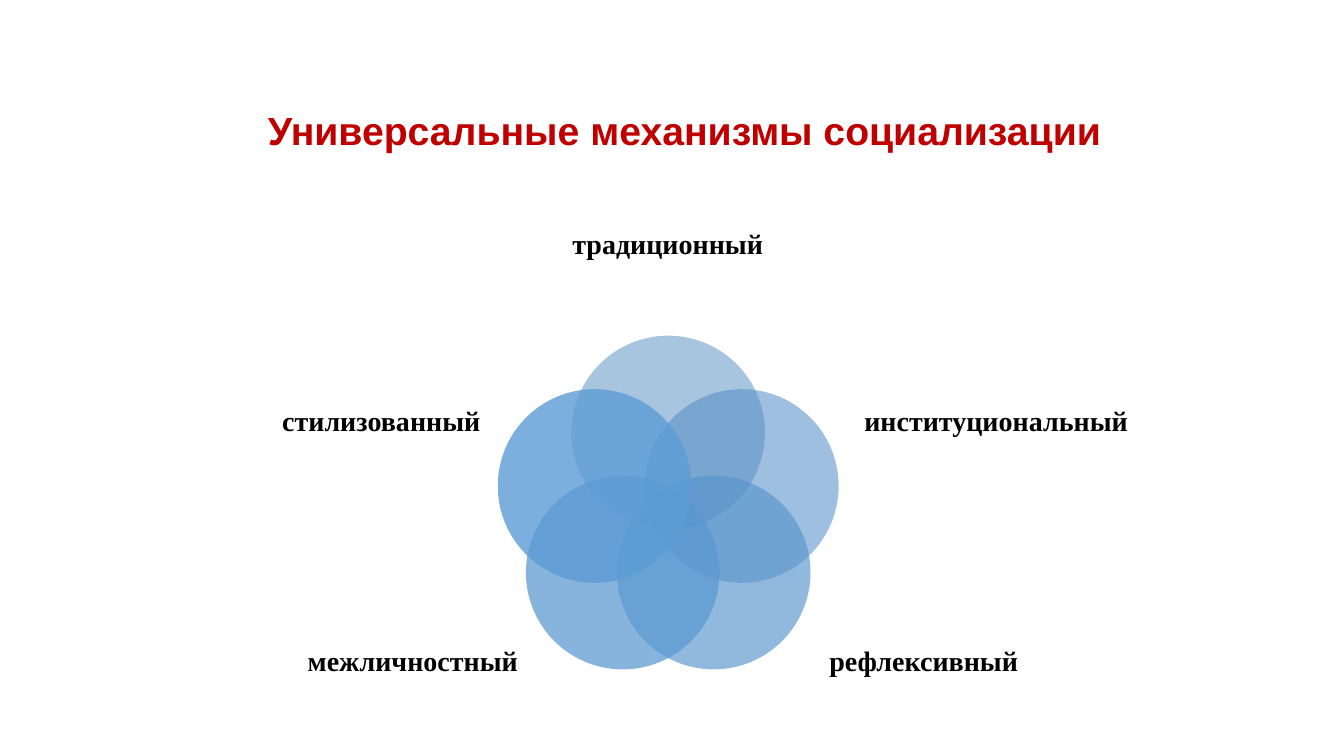
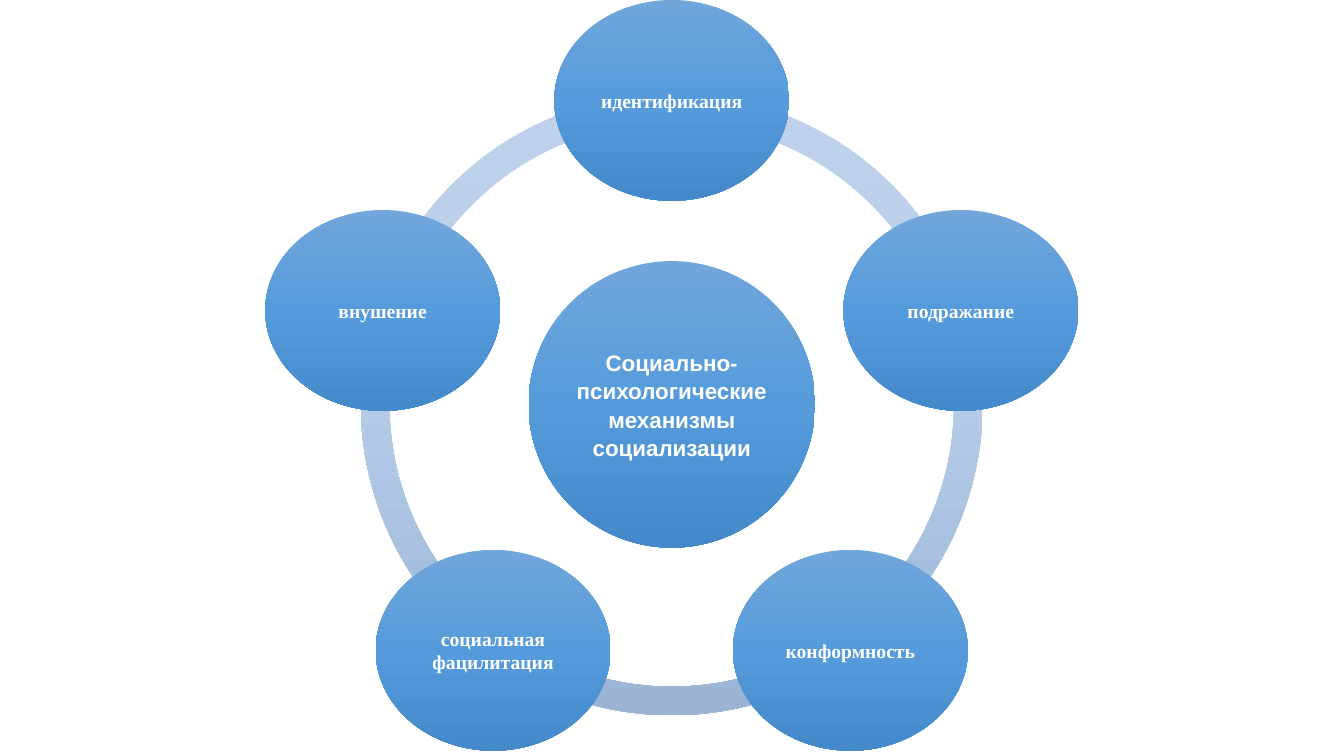
from dataclasses import dataclass
from math import cos, radians, sin

from lxml import etree
from pptx import Presentation
from pptx.dml.color import RGBColor
from pptx.enum.shapes import MSO_SHAPE
from pptx.enum.text import MSO_ANCHOR, PP_ALIGN
from pptx.oxml.ns import qn
from pptx.util import Cm, Pt

OVAL = MSO_SHAPE.OVAL
BLOCK_ARC = MSO_SHAPE.BLOCK_ARC
MIDDLE = MSO_ANCHOR.MIDDLE
CENTER = PP_ALIGN.CENTER


@dataclass(frozen=True)
class Theme:
    sans: str = "Arial"
    serif: str = "Times New Roman"
    title_color: str = "C00000"
    label_color: str = "000000"
    node_text: str = "FFFFFF"
    title_size: int = 28
    label_size: int = 20
    hub_size: int = 16
    node_size: int = 14
    node_fill: tuple = ("71A6DB", "559BDB", "448ACA")
    arc_fill: tuple = ("C0D2EB", "B3CBE9", "9BB4D3")


THEME = Theme()
STEP = 72

MECHANISMS = [
    ("традиционный", "538DC1", 50, (13.44, 4.5, 6.78, 3.28)),
    ("институциональный", "5590C7", 57, (21.74, 8.81, 6.73, 3.56)),
    ("рефлексивный", "5794CC", 65, (19.66, 14.86, 7.24, 3.56)),
    ("межличностный", "5998D1", 72, (6.99, 14.86, 6.83, 3.56)),
    ("стилизованный", "5C9CD5", 80, (6.45, 8.81, 6.32, 3.56)),
]

HUB = ["Социально-", "психологические", "механизмы", "социализации"]
NODES = [
    ["идентификация"],
    ["подражание"],
    ["конформность"],
    ["социальная", "фацилитация"],
    ["внушение"],
]


def ring_point(cx, cy, radius, index):
    angle = radians(STEP * index)
    return cx + radius * sin(angle), cy - radius * cos(angle)


def write(sp, lines, font, size, color, inset=0, spacing=1.0):
    tf = sp.text_frame
    tf.word_wrap = True
    tf.vertical_anchor = MIDDLE
    tf.margin_left = tf.margin_right = Cm(inset)
    tf.margin_top = tf.margin_bottom = Cm(inset)
    for i, line in enumerate(lines):
        p = tf.paragraphs[0] if i == 0 else tf.add_paragraph()
        p.text = line
        p.alignment = CENTER
        p.line_spacing = spacing
        p.font.name = font
        p.font.size = Pt(size)
        p.font.bold = True
        p.font.color.rgb = RGBColor.from_string(color)


def add_text(s, box, text, font, size, color):
    sp = s.shapes.add_textbox(*map(Cm, box))
    write(sp, [text], font, size, color)


def add_centered(s, kind, cx, cy, width, height):
    sp = s.shapes.add_shape(kind, Cm(cx - width / 2), Cm(cy - height / 2),
                            Cm(width), Cm(height))
    sp.shadow.inherit = False
    sp.line.fill.background()
    return sp


def fill_alpha(sp, color, percent):
    sp.fill.solid()
    sp.fill.fore_color.rgb = RGBColor.from_string(color)
    clr = sp._element.spPr.find(qn("a:solidFill")).find(qn("a:srgbClr"))
    etree.SubElement(clr, qn("a:alpha"), val=str(percent * 1000))


def fill_gradient(sp, colors):
    sp.fill.gradient()
    sp.fill.gradient_angle = 270
    stops = sp._element.spPr.find(qn("a:gradFill")).find(qn("a:gsLst"))
    for stop in list(stops):
        stops.remove(stop)
    for i, color in enumerate(colors):
        position = 100000 * i // (len(colors) - 1)
        stop = etree.SubElement(stops, qn("a:gs"), pos=str(position))
        etree.SubElement(stop, qn("a:srgbClr"), val=color)


def add_arc(s, cx, cy, diameter, start):
    sp = add_centered(s, BLOCK_ARC, cx, cy, diameter, diameter)
    angle_unit = 0.6
    sp.adjustments[0] = start % 360 * angle_unit
    sp.adjustments[1] = (start + STEP) % 360 * angle_unit
    sp.adjustments[2] = 0.046
    fill_gradient(sp, THEME.arc_fill)


def add_node(s, center, size, lines, font, pt, spacing=1.0):
    sp = add_centered(s, OVAL, *center, *size)
    fill_gradient(sp, THEME.node_fill)
    write(sp, lines, font, pt, THEME.node_text, 0.05, spacing)


def build_universal(s):
    cx, cy, radius, diameter = 16.84, 12.85, 1.95, 4.88
    for i, (text, color, alpha, box) in enumerate(MECHANISMS):
        x, y = ring_point(cx, cy, radius, i)
        fill_alpha(add_centered(s, OVAL, x, y, diameter, diameter), color, alpha)
        add_text(s, box, text, THEME.serif, THEME.label_size, THEME.label_color)
    add_text(s, (5.92, 2.54, 22.66, 1.45), "Универсальные механизмы социализации",
             THEME.sans, THEME.title_size, THEME.title_color)


def build_social(s):
    cx, cy, radius = 16.93, 10.19, 7.66
    for i in range(len(NODES)):
        add_arc(s, cx, cy, 15.67, 198 - STEP * i)
    add_node(s, (cx, cy), (7.22, 7.22), HUB, THEME.sans, THEME.hub_size, 1.05)
    for i, lines in enumerate(NODES):
        add_node(s, ring_point(cx, cy, radius, i), (5.92, 5.06), lines,
                 THEME.serif, THEME.node_size)


def main():
    prs = Presentation()
    prs.slide_width = Cm(33.87)
    prs.slide_height = Cm(19.05)
    for build in (build_universal, build_social):
        build(prs.slides.add_slide(prs.slide_layouts[6]))
    prs.save("out.pptx")


if __name__ == "__main__":
    main()
